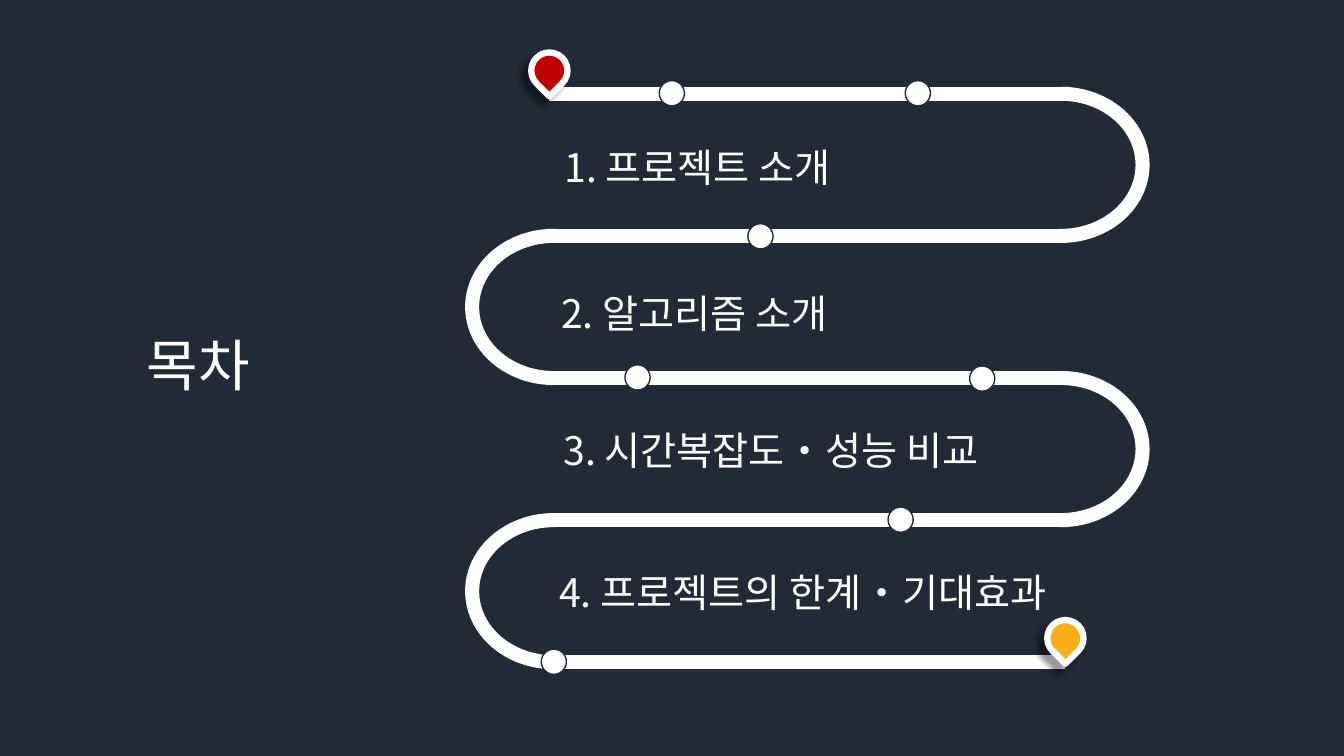
from lxml import etree
from pptx import Presentation
from pptx.dml.color import RGBColor
from pptx.enum.shapes import MSO_CONNECTOR, MSO_SHAPE
from pptx.enum.text import MSO_AUTO_SIZE
from pptx.oxml.ns import qn
from pptx.util import Pt

STRAIGHT = MSO_CONNECTOR.STRAIGHT
ARC, DROP, DOT = MSO_SHAPE.BLOCK_ARC, MSO_SHAPE.TEAR, MSO_SHAPE.OVAL
FIT = MSO_AUTO_SIZE.SHAPE_TO_FIT_TEXT

COLORS = {"night": "222A35", "white": "FFFFFF", "red": "C00000",
          "amber": "FBAD1B", "black": "000000"}
FONT = "Noto Sans CJK KR"
BULLET, BULLET_SPACING = " • ", "-550"

# text, left, top, width, height, size
TITLE = ("목차", 97.9, 232.6, 92.2, 55.4, 40)
ITEMS = [
    ("1. 프로젝트 소개", 396, 98.6, 219.6, 41, 28),
    ("2. 알고리즘 소개", 393.8, 203, 219.6, 41, 28),
    ("3. 시간복잡도 • 성능 비교", 395.3, 301, 331.2, 41, 28),
    ("4. 프로젝트의 한계 • 기대효과", 392.4, 402.5, 398.9, 41, 28),
]
# centre x, centre y, colour
PINS = [(392.4, 50.4, "red"), (761, 455.8, "amber")]
STOPS = [(643.3, 371.2), (395.6, 472.7), (701.6, 270.4), (455.4, 269.6),
         (543.2, 168.8), (655.6, 66.6), (479.9, 66.6)]

ROAD_LEFT, ROAD_RIGHT, ROAD_TOP = 392.4, 761, 67
ROWS, ROW_STEP = 5, 101.5
BEND_W, BEND_H = 111.6, 126.7
BEND_X = {90: 757.8, 270: 395.6}
BEND_ADJ = (108.393, 1.154, 0.09)
PIN, STOP = 25.9, 18


def rgb(name):
    return RGBColor.from_string(COLORS[name])


def add_centred(kind, x, y, w, h, fill, line=None, width=0, rotation=0):
    """Add a filled shape around the centre (x, y)."""
    s = shapes.add_shape(kind, Pt(x - w / 2), Pt(y - h / 2), Pt(w), Pt(h))
    s.rotation = rotation
    s.shadow.inherit = False
    s.fill.solid()
    s.fill.fore_color.rgb = rgb(fill)
    if line:
        s.line.color.rgb = rgb(line)
        s.line.width = Pt(width)
    else:
        s.line.fill.background()
    return s


def add_road(y, start, end):
    c = shapes.add_connector(STRAIGHT, Pt(start), Pt(y), Pt(end), Pt(y))
    c.line.color.rgb = rgb("white")
    c.line.width = Pt(10)
    etree.SubElement(c._element.spPr, qn("a:effectLst"))


def add_drop_shadow(s):
    effects = s._element.spPr.find(qn("a:effectLst"))
    shadow = etree.SubElement(effects, qn("a:outerShdw"), blurRad=str(Pt(4)),
                              dist=str(Pt(7)), dir=str(135 * 60000),
                              algn="tr", rotWithShape="0")
    color = etree.SubElement(shadow, qn("a:srgbClr"), val=COLORS["black"])
    etree.SubElement(color, qn("a:alpha"), val="40000")


def add_text(text, left, top, width, height, size):
    """Add one line; the full-width bullet is set tighter."""
    box = shapes.add_textbox(Pt(left), Pt(top), Pt(width), Pt(height))
    tf = box.text_frame
    tf.word_wrap = False
    tf.auto_size = FIT
    p = tf.paragraphs[0]
    for part in filter(None, text.partition(BULLET)):
        r = p.add_run()
        r.text = part
        for key, value in {"name": FONT, "size": Pt(size)}.items():
            setattr(r.font, key, value)
        r.font.color.rgb = rgb("white")
        rPr = r._r.get_or_add_rPr()
        etree.SubElement(rPr, qn("a:ea"), typeface=FONT)
        if part == BULLET:
            rPr.set("spc", BULLET_SPACING)


prs = Presentation()
prs.slide_width, prs.slide_height = Pt(960), Pt(540)
slide = prs.slides.add_slide(prs.slide_layouts[6])
slide.background.fill.solid()
slide.background.fill.fore_color.rgb = rgb("night")
shapes = slide.shapes

for row in range(ROWS):
    y = ROAD_TOP + row * ROW_STEP
    ends = (ROAD_LEFT, ROAD_RIGHT)
    add_road(y, *(ends[::-1] if row % 2 else ends))
    if row < ROWS - 1:
        turn = 270 if row % 2 else 90
        bend = add_centred(ARC, BEND_X[turn], y + ROW_STEP / 2,
                           BEND_W, BEND_H, "white", rotation=turn)
        for i, value in enumerate(BEND_ADJ):
            bend.adjustments[i] = value

for x, y, color in PINS:
    add_drop_shadow(add_centred(DROP, x, y, PIN, PIN, color, "white", 4.5, 135))
for x, y in STOPS:
    add_centred(DOT, x, y, STOP, STOP, "white", "night", 1)
for entry in [TITLE, *ITEMS]:
    add_text(*entry)

prs.save("out.pptx")
